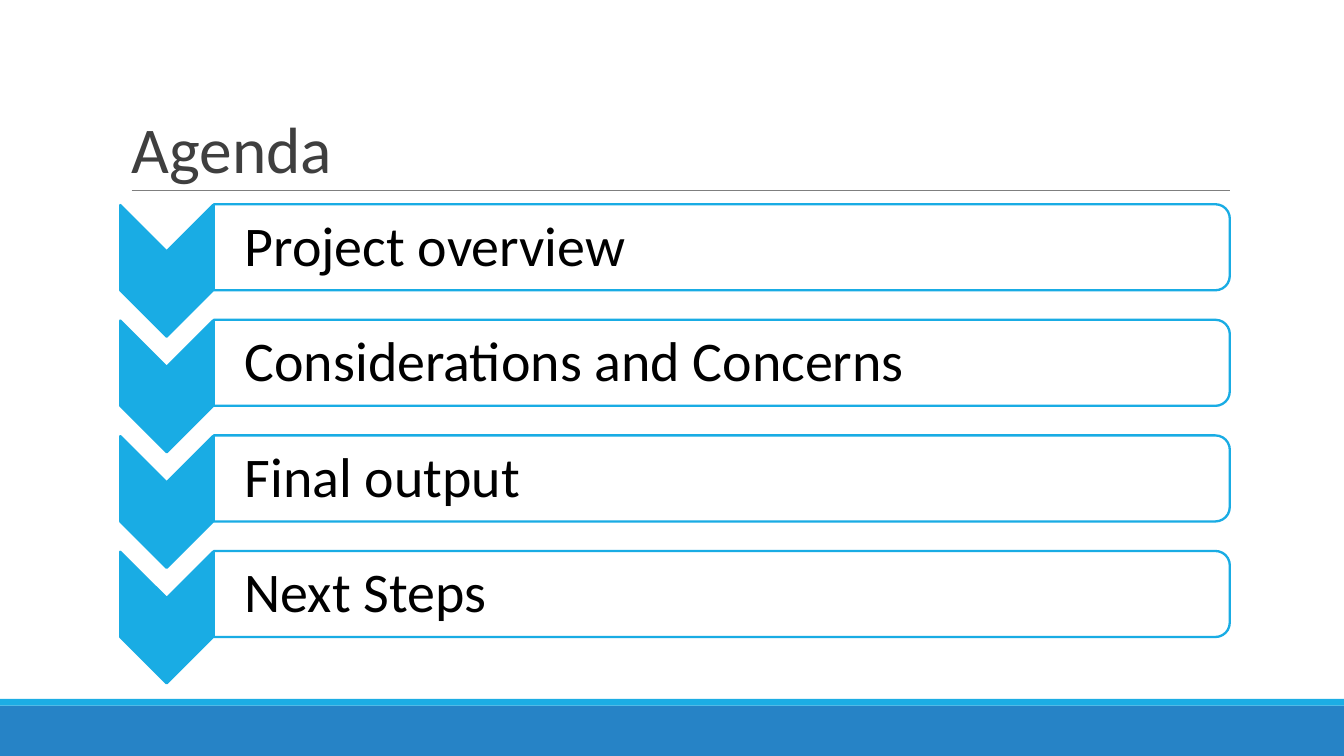
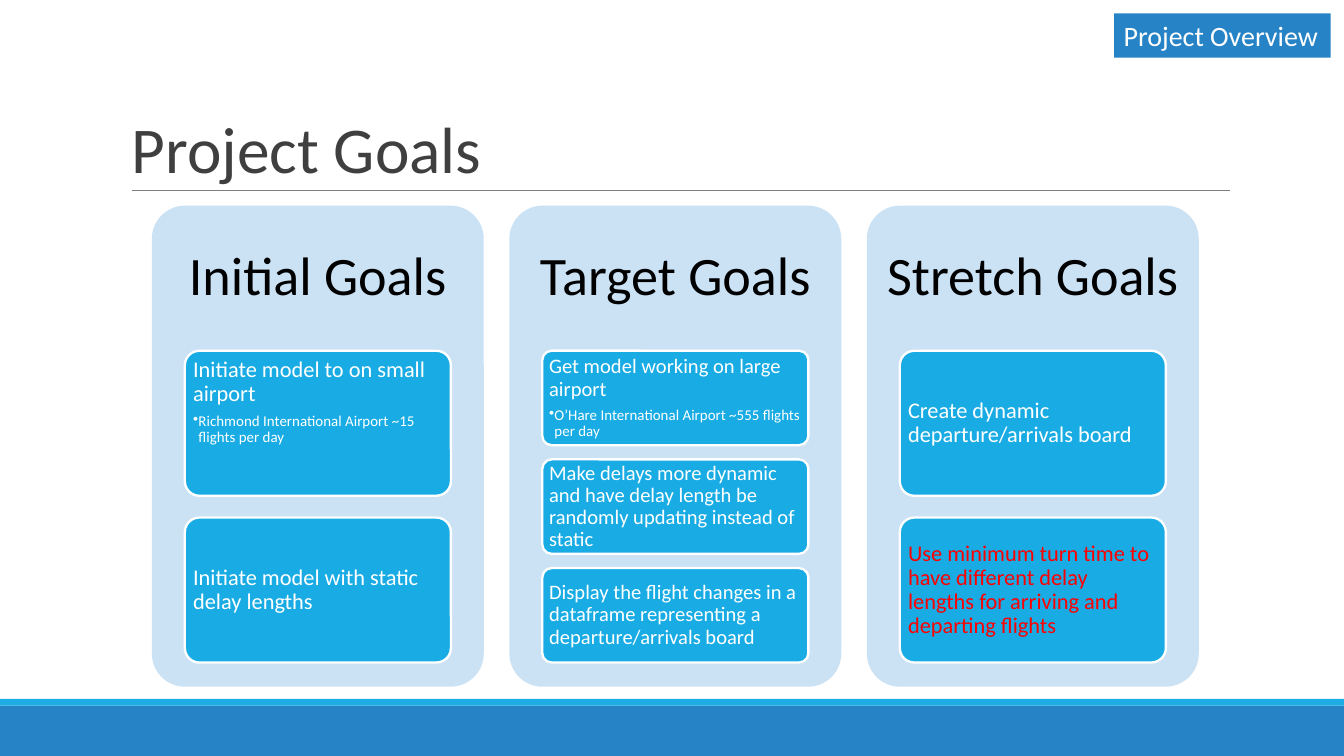
from lxml import etree
from pptx import Presentation
from pptx.dml.color import RGBColor
from pptx.enum.shapes import MSO_CONNECTOR, MSO_SHAPE
from pptx.enum.text import MSO_ANCHOR, PP_ALIGN
from pptx.oxml.ns import qn
from pptx.util import Inches, Pt

COLORS = {
    "band": "2683C6",
    "stripe": "1CADE4",
    "rule": "7F7F7F",
    "title": "3F3F3F",
    "accent": "19ACE4",
    "panel": "CBE2F5",
    "white": "FFFFFF",
    "black": "000000",
    "alert": "FF0000",
}
FONT = "Calibri"
WIDTH = 10
HEIGHT = WIDTH * 9 / 16


def add_box(slide, kind, left, top, width, height, fill=None, line=None):
    """Add a preset shape, or a text box when kind is None."""
    bounds = [Inches(value) for value in (left, top, width, height)]
    if kind is None:
        return slide.shapes.add_textbox(*bounds)
    shape = slide.shapes.add_shape(kind, *bounds)
    shape.shadow.inherit = False
    shape.fill.solid()
    shape.fill.fore_color.rgb = RGBColor.from_string(COLORS[fill])
    if line:
        shape.line.color.rgb = RGBColor.from_string(COLORS[line])
        shape.line.width = Pt(1.25)
    else:
        shape.line.fill.background()
    return shape


def write(shape, text, size, color, insets, anchor=MSO_ANCHOR.MIDDLE,
          align=PP_ALIGN.LEFT, spacing=0.9, detail=None):
    """Fill a shape with one paragraph and an optional bulleted detail."""
    frame = shape.text_frame
    frame.word_wrap = True
    frame.vertical_anchor = anchor
    (frame.margin_left, frame.margin_top,
     frame.margin_right, frame.margin_bottom) = [Inches(value) for value in insets]
    for text_line, points in ((text, size), (detail, 8)):
        if not text_line:
            continue
        paragraph = frame.paragraphs[0]
        if text_line == detail:
            paragraph = frame.add_paragraph()
            paragraph.space_before = Pt(4)
            properties = paragraph._p.get_or_add_pPr()
            properties.set("lvl", "1")
            properties.set("marL", str(Inches(0.04)))
            properties.set("indent", str(Inches(-0.06)))
        paragraph.alignment = align
        paragraph.line_spacing = spacing
        if text_line == detail:
            etree.SubElement(properties, qn("a:buChar")).set("char", "•")
        run = paragraph.add_run()
        run.text = text_line
        run.font.name = FONT
        run.font.size = Pt(points)
        run.font.color.rgb = RGBColor.from_string(COLORS[color])


presentation = Presentation()
presentation.slide_width = Inches(WIDTH)
presentation.slide_height = Inches(HEIGHT)

# Shared frame: bottom bands, rule and title
slides = []
for title in ("Agenda", "Project Goals"):
    slide = presentation.slides.add_slide(presentation.slide_layouts[6])
    add_box(slide, MSO_SHAPE.RECTANGLE, 0, 5.25, WIDTH, HEIGHT - 5.25, "band")
    add_box(slide, MSO_SHAPE.RECTANGLE, 0, 5.2, WIDTH, 0.05, "stripe")
    rule = slide.shapes.add_connector(
        MSO_CONNECTOR.STRAIGHT, Inches(0.98), Inches(1.42), Inches(9.15), Inches(1.42))
    rule.line.color.rgb = RGBColor.from_string(COLORS["rule"])
    rule.line.width = Pt(0.75)
    etree.SubElement(rule._element.spPr, qn("a:effectLst"))
    title_box = add_box(slide, None, 0.9, 0.24, 8.25, 1.19)
    write(title_box, title, 35, "title", (0.08, 0.04, 0.08, 0.04),
          anchor=MSO_ANCHOR.BOTTOM, spacing=0.85)
    slides.append(slide)
agenda_slide, goals_slide = slides

# Agenda: one chevron and one bar per topic, both turned a quarter
topics = ["Project overview", "Considerations and Concerns", "Final output", "Next Steps"]
for index, topic in enumerate(topics):
    offset = index * 0.86
    chevron = add_box(agenda_slide, MSO_SHAPE.CHEVRON,
                      0.75, 1.67 + offset, 0.98, 0.69, "accent", "accent")
    chevron.rotation = 90
    bar = add_box(agenda_slide, MSO_SHAPE.ROUND_2_SAME_RECTANGLE,
                  5.05, -1.94 + offset, 0.64, 7.56, "white", "accent")
    bar.rotation = 90
    bar.adjustments[0] = 0.167
    bar.adjustments[1] = 0
    topic_box = add_box(agenda_slide, None, 1.59, 1.56 + offset, 7.53, 0.57)
    write(topic_box, topic, 30, "black", (0.23, 0.02, 0.02, 0.02))

# Goals: each column has a heading, a text size and cards (text, detail, color)
columns = [
    ("Initial Goals", 12, [
        ("Initiate model to on small airport",
         "Richmond International Airport ~15 flights per day", "white"),
        ("Initiate model with static delay lengths", None, "white"),
    ]),
    ("Target Goals", 11, [
        ("Get model working on large airport",
         "O’Hare International Airport ~555 flights per day", "white"),
        ("Make delays more dynamic and have delay length be randomly updating "
         "instead of static", None, "white"),
        ("Display the flight changes in a dataframe representing a "
         "departure/arrivals board", None, "white"),
    ]),
    ("Stretch Goals", 12, [
        ("Create dynamic departure/arrivals board", None, "white"),
        ("Use minimum turn time to have different delay lengths for arriving "
         "and departing flights", None, "alert"),
    ]),
]
for index, (heading, size, cards) in enumerate(columns):
    left = 1.13 + index * 2.66
    panel = add_box(goals_slide, MSO_SHAPE.ROUNDED_RECTANGLE, left, 1.53, 2.47, 3.58, "panel")
    panel.adjustments[0] = 0.1
    heading_box = add_box(goals_slide, None, left, 1.53, 2.47, 1.07)
    write(heading_box, heading, 29, "black", (0.12,) * 4, align=PP_ALIGN.CENTER)

    # Cards share the height, with gaps of 15% of a card
    card_height = 2.32 / (len(cards) + 0.15 * (len(cards) - 1))
    for row, (text, detail, color) in enumerate(cards):
        card = add_box(goals_slide, MSO_SHAPE.ROUNDED_RECTANGLE, left + 0.245,
                       2.61 + row * card_height * 1.15, 1.98, card_height,
                       "accent", "white")
        card.adjustments[0] = 0.1
        write(card, text, size, color, (0.03, 0.02, 0.03, 0.02),
              anchor=MSO_ANCHOR.TOP if detail else MSO_ANCHOR.MIDDLE, detail=detail)

# Section tag
tag = add_box(goals_slide, MSO_SHAPE.RECTANGLE, 8.29, 0.1, 1.61, 0.33, "band")
write(tag, "Project Overview", 15, "white", (0.07, 0.04, 0.07, 0.04),
      anchor=MSO_ANCHOR.TOP, spacing=1.0)

presentation.save("out.pptx")
